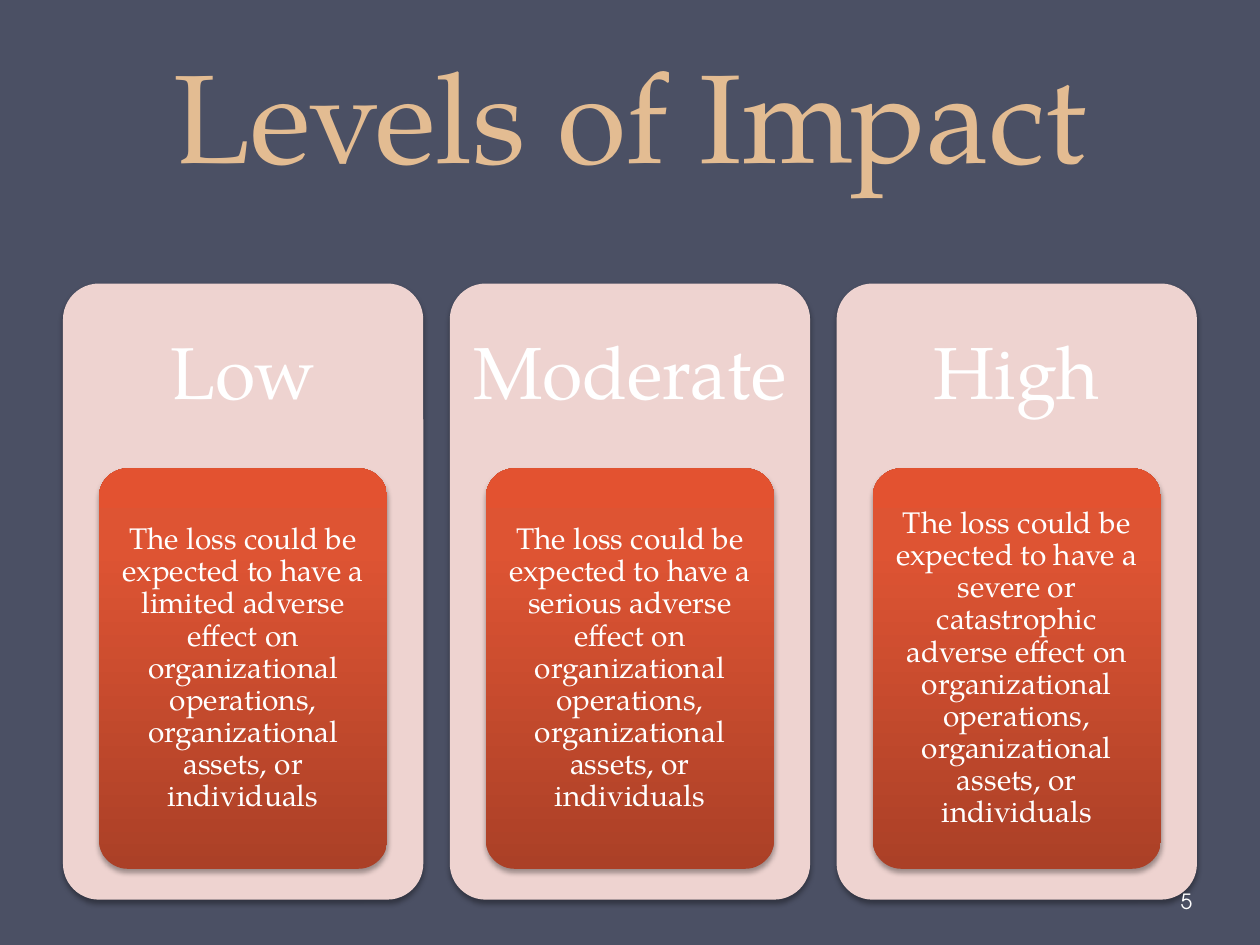
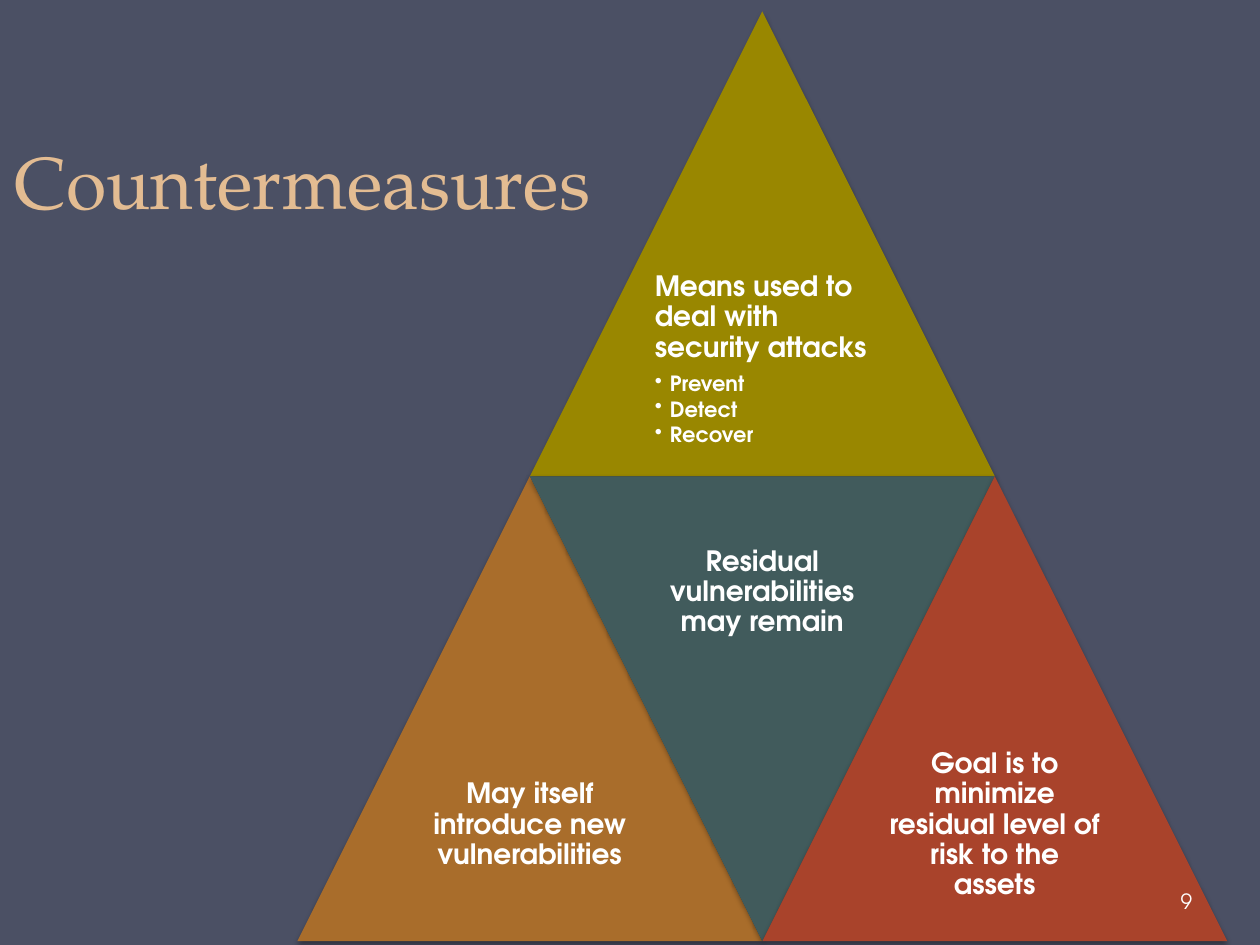
from lxml import etree
from pptx import Presentation
from pptx import util as u
from pptx.dml.color import RGBColor
from pptx.enum import shapes, text
from pptx.oxml.ns import qn

BACKGROUND = RGBColor(0x4B, 0x50, 0x64)
TITLE = RGBColor(0xE3, 0xBC, 0x92)
WHITE = RGBColor(0xFF, 0xFF, 0xFF)
PANEL = RGBColor(0xEE, 0xD3, 0xD0)
OLIVE = RGBColor(0x99, 0x87, 0x00)
OCHRE = RGBColor(0xA9, 0x6D, 0x2B)
TEAL = RGBColor(0x41, 0x5B, 0x5C)
BRICK = RGBColor(0xA9, 0x43, 0x2B)
CARD_STOPS = [(0, RGBColor(0xAB, 0x40, 0x27)),
              (80, RGBColor(0xDE, 0x54, 0x33)),
              (100, RGBColor(0xE3, 0x52, 0x30))]

SERIF = "TeX Gyre Pagella"
SANS = "TeX Gyre Adventor"
LEFT, CENTER = text.PP_ALIGN.LEFT, text.PP_ALIGN.CENTER
MIDDLE, BOTTOM = text.MSO_ANCHOR.MIDDLE, text.MSO_ANCHOR.BOTTOM
ROUNDED = shapes.MSO_SHAPE.ROUNDED_RECTANGLE
TRIANGLE = shapes.MSO_SHAPE.ISOSCELES_TRIANGLE


def inches(box):
    return [u.Inches(v) for v in box]


def add_xml(parent, tag, **attrs):
    return etree.SubElement(parent, qn(tag), {k: str(v) for k, v in attrs.items()})


def add_color(parent, color):
    return add_xml(parent, "a:srgbClr", val=color)


def add_text_box(slide, box, insets, anchor=MIDDLE):
    """Add an empty wrapped box; insets are left, top, right, bottom."""
    tf = slide.shapes.add_textbox(*inches(box)).text_frame
    tf.word_wrap = True
    tf.vertical_anchor = anchor
    (tf.margin_left, tf.margin_top,
     tf.margin_right, tf.margin_bottom) = inches(insets)
    return tf


def write(p, words, size, font, color=WHITE, bold=False, align=CENTER,
          spacing=0.9, after=0.35):
    """Fill a paragraph; after is a share of the text size."""
    p.alignment = align
    p.line_spacing = spacing
    p.space_after = u.Pt(round(size * after, 1))
    r = p.add_run()
    r.text = words
    r.font.size = u.Pt(size)
    r.font.name = font
    r.font.bold = bold
    r.font.color.rgb = color


def add_bullet(p):
    pPr = p._p.get_or_add_pPr()
    pPr.set("marL", str(u.Inches(0.12)))
    pPr.set("indent", str(-u.Inches(0.12)))
    add_xml(pPr, "a:buChar", char="•")


def add_shadowed_shape(slide, kind, box, color=None):
    sp = slide.shapes.add_shape(kind, *inches(box))
    sp.line.fill.background()
    if color is not None:
        sp.fill.solid()
        sp.fill.fore_color.rgb = color
    sp.shadow.inherit = False
    effects = sp._element.spPr.find(qn("a:effectLst"))
    shadow = add_xml(effects, "a:outerShdw", blurRad=u.Pt(3.1), dist=u.Pt(1.8),
                     dir=90 * 60000, rotWithShape=0)
    add_xml(add_color(shadow, RGBColor(0, 0, 0)), "a:alpha", val=35000)
    return sp


def fill_card(sp):
    sp.fill.gradient()
    sp.fill.gradient_angle = 90
    stops = sp._element.spPr.find(".//" + qn("a:gsLst"))
    for stop in list(stops):
        stops.remove(stop)
    for percent, color in CARD_STOPS:
        add_color(add_xml(stops, "a:gs", pos=percent * 1000), color)


def new_slide(prs, title, title_box, title_size):
    slide = prs.slides.add_slide(prs.slide_layouts[6])
    slide.background.fill.solid()
    slide.background.fill.fore_color.rgb = BACKGROUND
    tf = add_text_box(slide, title_box, (0.1, 0.05, 0.1, 0.05), BOTTOM)
    write(tf.paragraphs[0], title, title_size, SERIF, TITLE,
          spacing=u.Pt(58), after=0)
    return slide


def add_page_number(slide, number):
    tf = add_text_box(slide, (9.34, 6.95, 0.61, 0.4), (0.03, 0.05, 0.05, 0.05))
    write(tf.paragraphs[0], number, 12, SANS, align=LEFT, spacing=1.0, after=0)


def add_level(slide, box, name, effect):
    left, top, width, height = box
    head = height * 0.3
    card = (left + width * 0.1, top + head, width * 0.8, height * 0.65)
    panel = add_shadowed_shape(slide, ROUNDED, box, PANEL)
    panel.adjustments[0] = 0.1
    tf = add_text_box(slide, (left, top, width, head), [0.17] * 4)
    write(tf.paragraphs[0], name, 42, SERIF)

    sp = add_shadowed_shape(slide, ROUNDED, card)
    sp.adjustments[0] = 0.1
    fill_card(sp)
    pad = 0.07
    inner = (card[0] + pad, card[1] + pad, card[2] - 2 * pad, card[3] - 2 * pad)
    tf = add_text_box(slide, inner, (0.05, 0.04, 0.05, 0.04))
    write(tf.paragraphs[0],
          f"The loss could be expected to have a {effect} adverse effect on "
          "organizational operations, organizational assets, or individuals",
          17, SERIF)


def add_triangle(slide, left, top, side, color, words, points=(), inverted=False):
    sp = add_shadowed_shape(slide, TRIANGLE, (left, top, side, side), color)
    sp.rotation = 180 if inverted else 0
    text_top = top if inverted else top + side / 2
    tf = add_text_box(slide, (left + side / 4, text_top, side / 2, side / 2),
                      [0.07] * 4)
    write(tf.paragraphs[0], words, 16, SANS, bold=True,
          align=LEFT if points else CENTER)
    for point in points:
        p = tf.add_paragraph()
        write(p, point, 12, SANS, bold=True, align=LEFT, after=0.15)
        add_bullet(p)


def impact_slide(prs):
    slide = new_slide(prs, "Levels of Impact", (0.5, 0, 9, 1.55), 72)
    levels = [("Low", "limited"), ("Moderate", "serious"),
              ("High", "severe or catastrophic")]
    for i, (name, effect) in enumerate(levels):
        add_level(slide, (0.5 + 3.07 * i, 2.25, 2.86, 4.89), name, effect)
    add_page_number(slide, "5")


def countermeasures_slide(prs):
    slide = new_slide(prs, "Countermeasures", (-0.67, 0.44, 6.14, 1.39), 42)
    side, left, top = 3.69, 2.36, 0.09
    middle, lower = left + side / 2, top + side
    add_triangle(slide, middle, top, side, OLIVE,
                 "Means used to deal with security attacks",
                 points=("Prevent", "Detect", "Recover"))
    add_triangle(slide, left, lower, side, OCHRE,
                 "May itself introduce new vulnerabilities")
    add_triangle(slide, middle, lower, side, TEAL,
                 "Residual vulnerabilities may remain", inverted=True)
    add_triangle(slide, left + side, lower, side, BRICK,
                 "Goal is to minimize residual level of risk to the assets")
    add_page_number(slide, "9")


def main():
    prs = Presentation()
    prs.slide_width, prs.slide_height = inches((10, 7.5))
    impact_slide(prs)
    countermeasures_slide(prs)
    prs.save("out.pptx")


if __name__ == "__main__":
    main()
